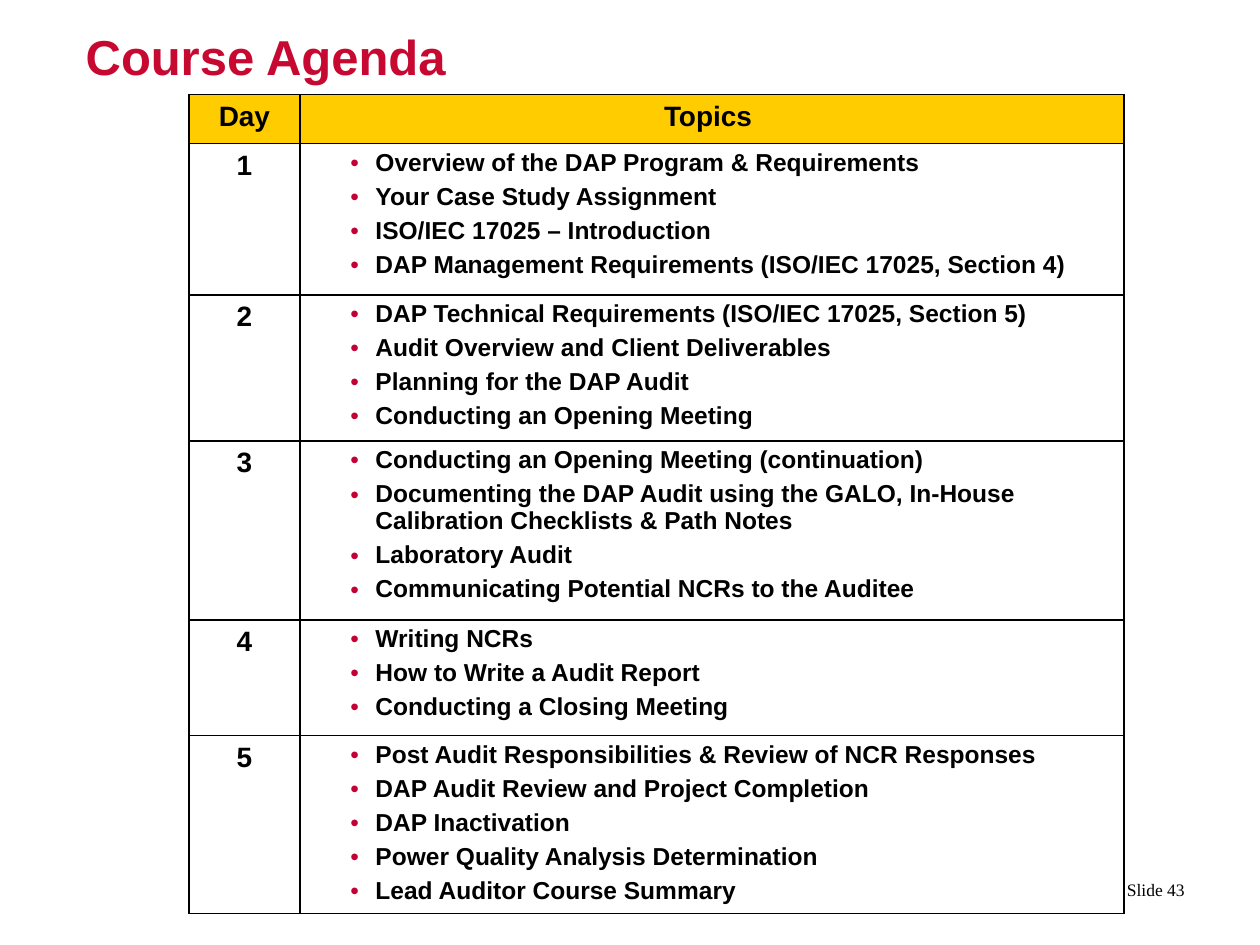
import pptx
import pptx.util
from lxml import etree
from pptx.dml.color import RGBColor
from pptx.enum.text import MSO_ANCHOR, PP_ALIGN
from pptx.oxml.ns import qn

Inches, Pt = pptx.util.Inches, pptx.util.Pt

BLACK, RED, BULLET_RED, GOLD = "000000", "C70932", "C30034", "FFCC00"
COLUMNS = [0.88, 6.54]
ROWS = [0.39, 1.2, 1.16, 1.42, 0.92, 1.41]
DAYS = [
    ["Overview of the DAP Program & Requirements",
     "Your Case Study Assignment",
     "ISO/IEC 17025 – Introduction",
     "DAP Management Requirements (ISO/IEC 17025, Section 4)"],
    ["DAP Technical Requirements (ISO/IEC 17025, Section 5)",
     "Audit Overview and Client Deliverables",
     "Planning for the DAP Audit",
     "Conducting an Opening Meeting"],
    ["Conducting an Opening Meeting (continuation)",
     "Documenting the DAP Audit using the GALO, In-House Calibration Checklists & Path Notes",
     "Laboratory Audit",
     "Communicating Potential NCRs to the Auditee"],
    ["Writing NCRs",
     "How to Write a Audit Report",
     "Conducting a Closing Meeting"],
    ["Post Audit Responsibilities & Review of NCR Responses",
     "DAP Audit Review and Project Completion",
     "DAP Inactivation",
     "Power Quality Analysis Determination",
     "Lead Auditor Course Summary"],
]


def style(para, size, color=BLACK, bold=True, name="Arial"):
    """Format every run of a paragraph."""
    for span in para.runs:
        span.font.size = Pt(size)
        span.font.bold = bold
        span.font.name = name
        span.font.color.rgb = RGBColor.from_string(color)


def add_solid(parent, tag, color):
    """Append an element holding a hex colour and return it."""
    element = etree.SubElement(parent, qn(tag))
    holder = element
    if tag != "a:buClr":
        holder = etree.SubElement(element, qn("a:solidFill"))
    etree.SubElement(holder, qn("a:srgbClr"), val=color)
    return element


deck = pptx.Presentation()
deck.slide_width, deck.slide_height = Inches(10), Inches(7.5)
page = deck.slides.add_slide(deck.slide_layouts[5])

# Title
title = page.shapes.title
title.left, title.top = Inches(0.58), Inches(0.11)
title.width, title.height = Inches(9.17), Inches(0.97)
frame = title.text_frame
frame.text = "Course Agenda"
frame.vertical_anchor = MSO_ANCHOR.TOP
frame.margin_top = Inches(0.1)
frame.paragraphs[0].alignment = PP_ALIGN.LEFT
style(frame.paragraphs[0], 28, RED)

# Agenda table
agenda = page.shapes.add_table(
    len(ROWS), len(COLUMNS), Inches(1.5), Inches(0.75),
    Inches(sum(COLUMNS)), Inches(sum(ROWS))).table
agenda.first_row = agenda.horz_banding = False
for column, width in zip(agenda.columns, COLUMNS):
    column.width = Inches(width)
for row, height in zip(agenda.rows, ROWS):
    row.height = Inches(height)

for cell in agenda.iter_cells():
    properties = cell._tc.get_or_add_tcPr()
    for side in ("a:lnL", "a:lnR", "a:lnT", "a:lnB"):
        add_solid(properties, side, BLACK).set("w", str(Pt(0.96)))
    cell.fill.background()

# Header row and day numbers
for index, heading in enumerate(["Day", "Topics "]):
    cell = agenda.cell(0, index)
    cell.text_frame.text = heading
    cell.fill.solid()
    cell.fill.fore_color.rgb = RGBColor.from_string(GOLD)
for number in range(1, len(ROWS)):
    agenda.cell(number, 0).text_frame.text = str(number)
centred = [agenda.cell(0, 1)] + [agenda.cell(r, 0) for r in range(len(ROWS))]
for cell in centred:
    para = cell.text_frame.paragraphs[0]
    para.alignment = PP_ALIGN.CENTER
    style(para, 16)

# Topics of each day
for number, topics in enumerate(DAYS, start=1):
    frame = agenda.cell(number, 1).text_frame
    frame.text = "\n".join(topics)
    for index, para in enumerate(frame.paragraphs):
        properties = para._p.get_or_add_pPr()
        properties.set("marL", str(Inches(0.5)))
        properties.set("indent", str(Inches(-0.2)))
        add_solid(properties, "a:buClr", BULLET_RED)
        etree.SubElement(properties, qn("a:buFont"), typeface="Arial")
        etree.SubElement(properties, qn("a:buChar"), char="•")
        para.line_spacing = 0.98
        para.space_after = Pt(2)
        if index:
            para.space_before = Pt(2)
        style(para, 14)

# Slide number
box = page.shapes.add_textbox(Inches(8.8), Inches(6.86), Inches(0.7), Inches(0.4))
frame = box.text_frame
frame.word_wrap = True
frame.vertical_anchor = MSO_ANCHOR.MIDDLE
frame.text = "Slide 43"
frame.paragraphs[0].alignment = PP_ALIGN.RIGHT
style(frame.paragraphs[0], 10, bold=False, name="Times New Roman")

deck.save("out.pptx")
